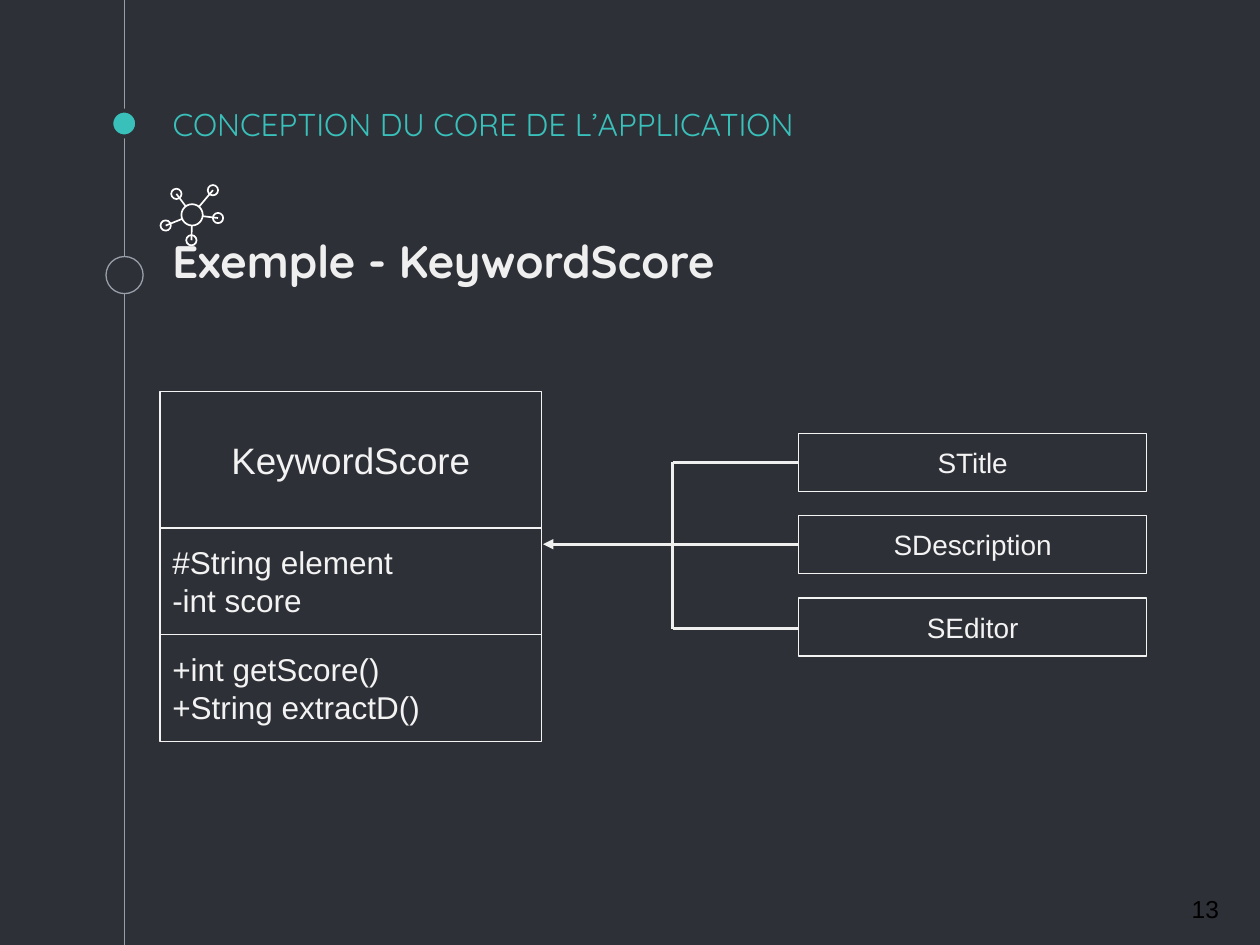
from math import hypot

from lxml.etree import SubElement
from pptx import Presentation
from pptx.dml.color import RGBColor
from pptx.enum.shapes import MSO_CONNECTOR, MSO_SHAPE
from pptx.enum.text import MSO_ANCHOR, MSO_AUTO_SIZE, PP_ALIGN
from pptx.oxml.ns import qn
from pptx.util import Pt

COLORS = {
    "background": "2E3037",
    "accent": "39C0BA",
    "timeline": "999FA9",
    "box": "F3F3F3",
    "light": "EFEFEF",
    "icon": "FFFFFF",
    "number": "000000",
}


def color(name):
    return RGBColor.from_string(COLORS[name])


def write_text(shape, text, size, color_name, font="Arial", bold=False,
               align=PP_ALIGN.LEFT, anchor=MSO_ANCHOR.MIDDLE):
    frame = shape.text_frame
    frame.word_wrap = True
    frame.auto_size = MSO_AUTO_SIZE.NONE
    frame.vertical_anchor = anchor
    frame.margin_left = frame.margin_right = Pt(7.2)
    frame.margin_top = frame.margin_bottom = Pt(7.2)
    frame.text = text
    for paragraph in frame.paragraphs:
        paragraph.alignment = align
        paragraph.font.name = font
        paragraph.font.size = Pt(size)
        paragraph.font.bold = bold
        paragraph.font.color.rgb = color(color_name)


presentation = Presentation()
presentation.slide_width, presentation.slide_height = Pt(720), Pt(540)
slide = presentation.slides.add_slide(presentation.slide_layouts[5])
slide.background.fill.solid()
slide.background.fill.fore_color.rgb = color("background")
shapes = slide.shapes

# Title, subtitle and slide number
title = shapes.title
title.left, title.top, title.width, title.height = Pt(91.4), Pt(52.6), Pt(540), Pt(36)
write_text(title, "CONCEPTION DU CORE DE L’APPLICATION", 18, "accent",
           font="Quicksand", anchor=MSO_ANCHOR.BOTTOM)
subtitle = shapes.add_textbox(Pt(91.4), Pt(126), Pt(540), Pt(60.5))
write_text(subtitle, "Exemple - KeywordScore", 26, "light",
           font="Quicksand", bold=True, anchor=MSO_ANCHOR.TOP)
slide_number = shapes.add_textbox(Pt(673.9), Pt(499), Pt(43.2), Pt(41))
write_text(slide_number, "13", 14, "number")

# Lines: x1, y1, x2, y2, colour, width
trunk_x, boxes_x = 384.4, 456.5
branches_y = [264.2, 311, 359.3]
arrow = (trunk_x, 311, 310.3, 311, "light", 1.5)
lines = [
    (71.3, 0, 71.3, 540, "timeline", 0.75),
    arrow,
    (trunk_x, branches_y[0], trunk_x, branches_y[-1], "light", 1.5),
]
lines += [(boxes_x, y, trunk_x, y, "light", 1.5) for y in branches_y]

# Circles: centre x, centre y, radius, fill, line colour, line width
circles = [
    (71, 70.6, 7.4, "accent", "background", 2.25),
    (71.2, 157.2, 10.6, "background", "timeline", 0.75),
]

# Network icon: a hub with a spoke to each node
hub_x, hub_y, hub_radius = 109.8, 122.8, 6.1
circles.append((hub_x, hub_y, hub_radius, None, "icon", 0.96))
nodes = [(121.7, 108.7), (100.8, 110.8), (94.7, 128.9), (109.4, 137.3), (124.6, 124.6)]
for x, y in nodes:
    circles.append((x, y, 2.95, None, "icon", 0.96))
    ratio = hub_radius / hypot(x - hub_x, y - hub_y)
    lines.append((x, y, hub_x + (x - hub_x) * ratio, hub_y + (y - hub_y) * ratio,
                  "icon", 0.96))

for line in lines:
    x1, y1, x2, y2, line_color, width = line
    connector = shapes.add_connector(MSO_CONNECTOR.STRAIGHT, Pt(x1), Pt(y1), Pt(x2), Pt(y2))
    connector.line.color.rgb = color(line_color)
    connector.line.width = Pt(width)
    if line == arrow:
        SubElement(connector.line._get_or_add_ln(), qn("a:tailEnd"), type="triangle")
    SubElement(connector._element.spPr, qn("a:effectLst"))

for x, y, radius, fill, line_color, width in circles:
    circle = shapes.add_shape(MSO_SHAPE.OVAL, Pt(x - radius), Pt(y - radius),
                              Pt(2 * radius), Pt(2 * radius))
    circle.shadow.inherit = False
    if fill:
        circle.fill.solid()
        circle.fill.fore_color.rgb = color(fill)
    else:
        circle.fill.background()
    circle.line.color.rgb = color(line_color)
    circle.line.width = Pt(width)

# Class diagram: left, top, width, height, text, size, alignment
boxes = [
    (91.4, 223.9, 218.2, 77.8, "KeywordScore", 21, PP_ALIGN.CENTER),
    (91.4, 301.7, 218.2, 61, "#String element\n-int score", 18, PP_ALIGN.LEFT),
    (91.4, 362.7, 218.2, 61, "+int getScore()\n+String extractD()", 18, PP_ALIGN.LEFT),
]
for index, name in enumerate(["STitle", "SDescription", "SEditor"]):
    boxes.append((boxes_x, 247.6 + 47.1 * index, 198.7, 33.1, name, 16, PP_ALIGN.CENTER))

for left, top, width, height, text, size, align in boxes:
    box = shapes.add_shape(MSO_SHAPE.RECTANGLE, Pt(left), Pt(top), Pt(width), Pt(height))
    box.shadow.inherit = False
    box.fill.background()
    box.line.color.rgb = color("box")
    box.line.width = Pt(0.75)
    write_text(box, text, size, "box", align=align)

presentation.save("out.pptx")
